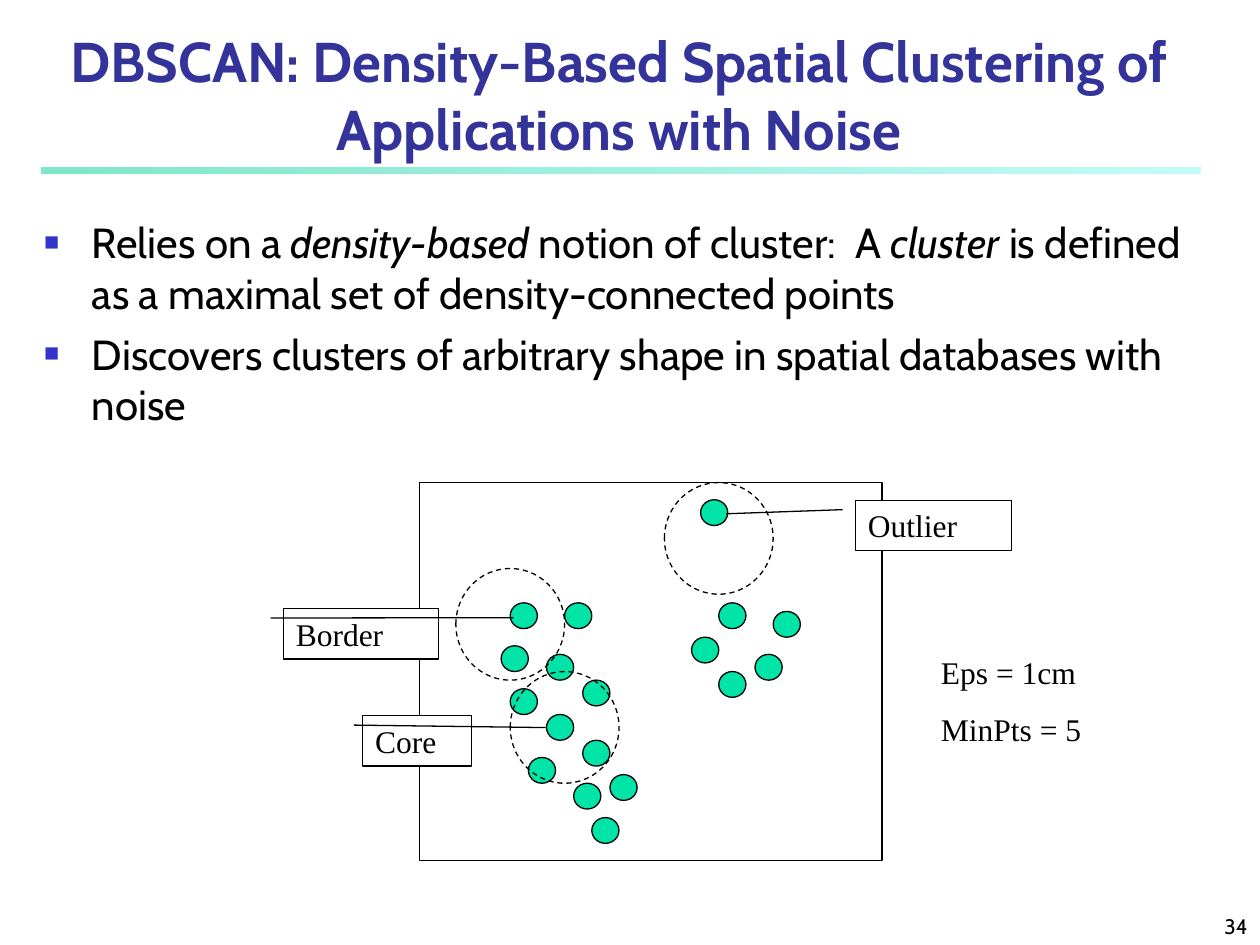
from lxml import etree
from pptx import Presentation
from pptx import util as u
from pptx.dml.color import RGBColor
from pptx.enum import dml, shapes, text
from pptx.oxml.ns import qn

SANS, SERIF = "Cabin", "Times New Roman"
TITLE = "DBSCAN: Density-Based Spatial Clustering of Applications with Noise"
BULLETS = [
    [("Relies on a ", False), ("density-based", True),
     (" notion of cluster:  A ", False), ("cluster", True),
     (" is defined as a maximal set of density-connected points", False)],
    [("Discovers clusters of arbitrary shape in spatial databases with noise", False)],
]
PARAMETERS = ["Eps = 1cm", "MinPts = 5"]
PAGE_NUMBER = "34"

FRAME = (3.33, 3.83, 3.67, 3)
GRID_COLUMNS, GRID_ROWS = 51, 44
DOT_CELLS, RING_CELLS = (3, 3), (12, 13)
DOTS = [
    (10, 14), (9, 19), (14, 20), (16, 14), (18, 23), (10, 24), (14, 27),
    (12, 32), (17, 35), (19, 39), (18, 30), (21, 34),
    (31, 2), (33, 14), (30, 18), (37, 20), (39, 15), (33, 22),
]
RINGS = [(4, 10), (10, 22), (27, 0)]
CALLOUTS = [
    ("Core", (2.88, 5.68, 0.86, 0.4), (0.238, 1.687)),
    ("Border", (2.25, 4.83, 1.23, 0.4), (0.183, 1.485)),
    ("Outlier", (6.79, 3.97, 1.24, 0.4), (0.27, -0.828)),
]


def color(value):
    return RGBColor.from_string(value)


def inches(area):
    return [u.Inches(length) for length in area]


def place(box, area):
    box.left, box.top, box.width, box.height = inches(area)


def add_span(para, content, size=18, font=SERIF, ink="000000", bold=False, italic=False):
    span = para.add_run()
    span.text = content
    span.font.size, span.font.name = u.Pt(size), font
    span.font.bold, span.font.italic = bold, italic
    span.font.color.rgb = color(ink)


def add_figure(page, kind, area, fill=None, line="000000", dash=None):
    figure = page.shapes.add_shape(kind, *inches(area))
    figure.shadow.inherit = False
    if fill:
        figure.fill.solid()
        figure.fill.fore_color.rgb = color(fill)
    else:
        figure.fill.background()
    if line:
        figure.line.color.rgb = color(line)
        figure.line.width = u.Pt(0.75)
        figure.line.dash_style = dash
    else:
        figure.line.fill.background()
    return figure


def add_label(page, area, lines, before=0, align=text.PP_ALIGN.LEFT,
              anchor=text.MSO_ANCHOR.TOP, **style):
    frame = page.shapes.add_textbox(*inches(area)).text_frame
    frame.word_wrap = True
    frame.vertical_anchor = anchor
    for index, line in enumerate(lines):
        para = frame.add_paragraph() if index else frame.paragraphs[0]
        para.alignment, para.space_before = align, u.Pt(before)
        add_span(para, line, **style)


def add_bullet(para):
    props = para._p.get_or_add_pPr()
    props.set("marL", str(u.Inches(0.38)))
    props.set("indent", str(-u.Inches(0.38)))
    tint = etree.SubElement(props, qn("a:buClr"))
    etree.SubElement(tint, qn("a:srgbClr"), val="3333CC")
    etree.SubElement(props, qn("a:buSzPct"), val="60000")
    etree.SubElement(props, qn("a:buFont"), typeface="Arial")
    etree.SubElement(props, qn("a:buChar"), char="■")


def add_rule(page):
    rule = add_figure(page, shapes.MSO_SHAPE.RECTANGLE, (0.33, 1.33, 9.2, 0.05), line=None)
    rule.fill.gradient()
    rule.fill.gradient_angle = 0
    for stop, tint in zip(rule.fill.gradient_stops, ("00CE98", "8FF9EF")):
        stop.color.rgb = color(tint)
    for tint, alpha in zip(rule._element.spPr.iter(qn("a:srgbClr")), ("50000", "52000")):
        etree.SubElement(tint, qn("a:alpha"), val=alpha)


def fill_title(box):
    place(box, (0.25, 0.25, 9.33, 1.08))
    frame = box.text_frame
    frame.auto_size = text.MSO_AUTO_SIZE.NONE
    frame.vertical_anchor = text.MSO_ANCHOR.BOTTOM
    para = frame.paragraphs[0]
    para.alignment = text.PP_ALIGN.CENTER
    add_span(para, TITLE, size=32, font=SANS, ink="333399", bold=True)


def fill_body(box):
    place(box, (0.25, 1.67, 9.33, 5.5))
    frame = box.text_frame
    frame.auto_size = text.MSO_AUTO_SIZE.NONE
    for index, spans in enumerate(BULLETS):
        para = frame.add_paragraph() if index else frame.paragraphs[0]
        para.space_before = u.Pt(6)
        add_bullet(para)
        for content, italic in spans:
            add_span(para, content, size=24, font=SANS, italic=italic)


def grid_area(cell, cells):
    left, top, width, height = FRAME
    across, down = width / GRID_COLUMNS, height / GRID_ROWS
    return (left + cell[0] * across, top + cell[1] * down,
            cells[0] * across, cells[1] * down)


def add_diagram(page):
    kinds = shapes.MSO_SHAPE
    for dot in DOTS:
        add_figure(page, kinds.OVAL, grid_area(dot, DOT_CELLS), fill="00E4A8")
    add_figure(page, kinds.RECTANGLE, FRAME)
    for ring in RINGS:
        add_figure(page, kinds.OVAL, grid_area(ring, RING_CELLS), dash=dml.MSO_LINE.DASH)
    for name, area, target in CALLOUTS:
        callout = add_figure(page, kinds.LINE_CALLOUT_1, area, fill="FFFFFF")
        for index, value in enumerate((0.188, -0.083, *target)):
            callout.adjustments[index] = value
        frame = callout.text_frame
        frame.vertical_anchor = text.MSO_ANCHOR.TOP
        frame.paragraphs[0].alignment = text.PP_ALIGN.LEFT
        add_span(frame.paragraphs[0], name)


def main():
    deck = Presentation()
    deck.slide_width, deck.slide_height = u.Inches(10), u.Inches(7.5)
    page = deck.slides.add_slide(deck.slide_layouts[1])
    add_rule(page)
    fill_title(page.shapes.title)
    fill_body(page.placeholders[1])
    add_diagram(page)
    add_label(page, (7.37, 5.13, 1.8, 0.86), PARAMETERS, before=11.2)
    add_label(page, (7.92, 7.08, 2.08, 0.42), [PAGE_NUMBER], size=12, font=SANS,
              align=text.PP_ALIGN.RIGHT, anchor=text.MSO_ANCHOR.BOTTOM)
    deck.save("out.pptx")


if __name__ == "__main__":
    main()
